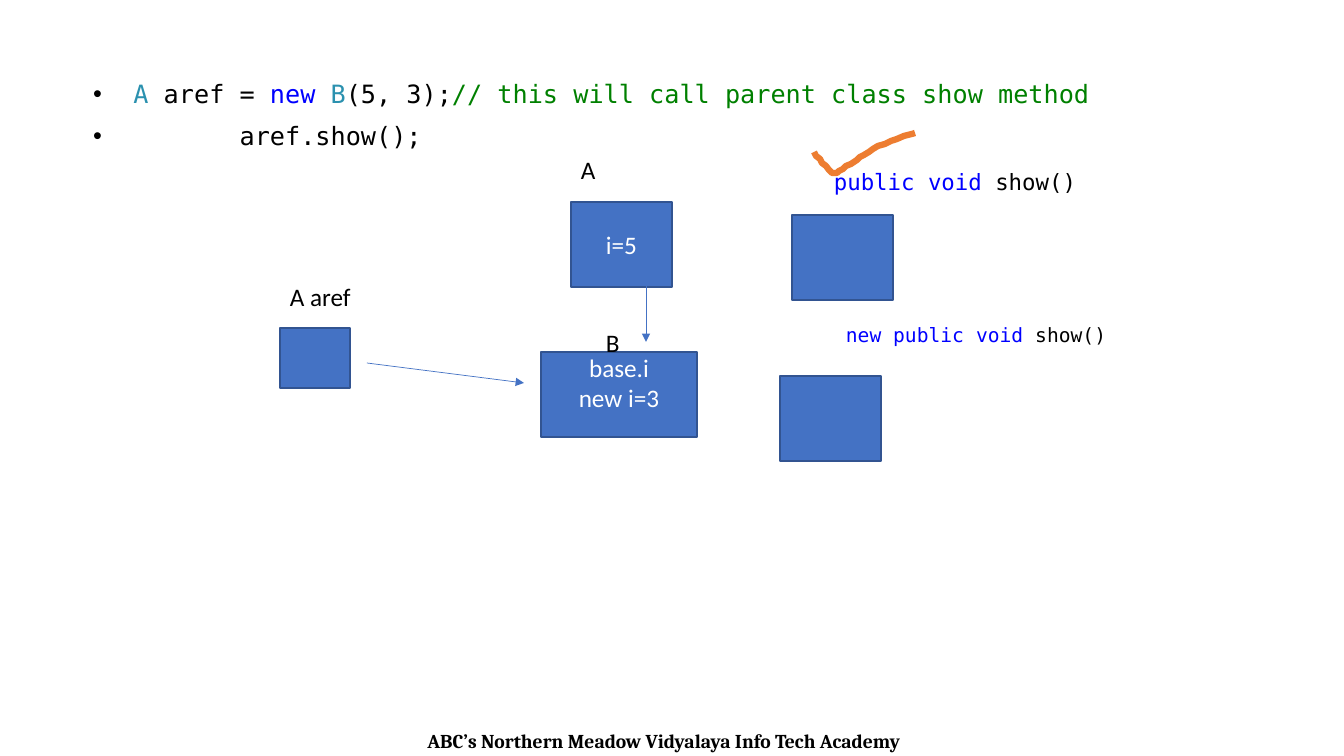
"""Build a slide on method hiding with object references."""
from dataclasses import dataclass

from lxml import etree
from pptx import Presentation
from pptx.dml.color import RGBColor as RGB
from pptx.enum.shapes import MSO_CONNECTOR as Conn, MSO_SHAPE as Shape
from pptx.enum.text import MSO_ANCHOR as Anchor, MSO_AUTO_SIZE as AutoSize, PP_ALIGN as Align
from pptx.oxml.ns import qn
from pptx.slide import Slide
from pptx.text.text import TextFrame
from pptx.util import Emu, Pt

PX = 914400 / 100.8


@dataclass(frozen=True)
class Theme:
    black: str = "000000"
    white: str = "FFFFFF"
    box: str = "4472C4"
    edge: str = "325491"
    tick: str = "ED7D31"
    keyword: str = "0000FF"
    type_name: str = "2B91AF"
    comment: str = "008000"
    body: str = "Calibri"
    code: str = "DejaVu Sans Mono"
    footer: str = "Cambria"
    text_size: int = 18
    method_size: int = 16
    small_size: int = 14


T = Theme()


@dataclass(frozen=True)
class Run:
    text: str
    color: str = T.black


@dataclass(frozen=True)
class Box:
    x: int
    y: int
    w: int
    h: int
    lines: tuple[str, ...] = ()
    anchor: Anchor = Anchor.MIDDLE


@dataclass(frozen=True)
class Label:
    x: int
    y: int
    w: int
    h: int
    runs: tuple[Run, ...]
    font: str = T.body
    size: int = T.text_size
    bold: bool = False
    align: Align = Align.LEFT


@dataclass(frozen=True)
class Arrow:
    x1: int
    y1: int
    x2: int
    y2: int


BOXES = (
    Box(571, 202, 101, 85, ("i=5",)),
    Box(280, 328, 70, 60),
    Box(792, 215, 101, 85),
    Box(780, 376, 101, 85),
    Box(541, 352, 156, 85, ("base.i", "new i=3"), Anchor.TOP),
)
SHOW = (Run(" "), Run("void", T.keyword), Run(" show()"))
LABELS = (
    Label(-8, 724, 1344, 34, (Run("ABC’s Northern Meadow Vidyalaya Info Tech Academy"),),
          T.footer, T.small_size, True, Align.CENTER),
    Label(571, 149, 87, 40, (Run("A"),)),
    Label(596, 322, 87, 40, (Run("B"),)),
    Label(280, 276, 87, 40, (Run("A aref"),)),
    Label(824, 163, 291, 37, (Run("public", T.keyword), *SHOW), T.code, T.method_size),
    Label(836, 318, 330, 34, (Run("new public", T.keyword), *SHOW), T.code, T.small_size),
)
CODE = (
    (Run(" "), Run("A", T.type_name), Run(" aref = "), Run("new", T.keyword), Run(" "),
     Run("B", T.type_name), Run("(5, 3);"),
     Run("// this will call parent class show method", T.comment)),
    (Run("        aref.show();"),),
)
ARROWS = (Arrow(646, 286, 646, 342), Arrow(367, 363, 524, 383))
TICK = (
    (814, 152), (816, 156), (820, 159), (822, 163), (826, 166), (829, 170), (832, 173),
    (837, 173), (839, 171), (843, 169), (846, 166), (851, 164), (854, 162), (857, 160),
    (860, 157), (864, 155), (869, 152), (873, 149), (878, 146), (885, 144), (891, 141),
    (897, 139), (904, 136), (912, 134), (915, 133),
)


def px(*values: int) -> list[Emu]:
    return [Emu(round(v * PX)) for v in values]


def write(tf: TextFrame, lines: tuple[tuple[Run, ...], ...], *, font: str = T.body,
          size: int = T.text_size, bold: bool = False, align: Align = Align.LEFT,
          anchor: Anchor = Anchor.TOP, bullets: bool = False) -> None:
    tf.word_wrap = True
    tf.auto_size = AutoSize.NONE
    tf.vertical_anchor = anchor
    for i, runs in enumerate(lines):
        p = tf.add_paragraph() if i else tf.paragraphs[0]
        p.alignment = align
        if bullets:
            p.line_spacing = 0.9
            p.space_before = Pt(10 if i else 0)
            pPr = p._p.get_or_add_pPr()
            pPr.set("marL", "228600")
            pPr.set("indent", "-228600")
            etree.SubElement(pPr, qn("a:buFont")).set("typeface", "Arial")
            etree.SubElement(pPr, qn("a:buChar")).set("char", "•")
        for run in runs:
            r = p.add_run()
            r.text = run.text
            r.font.name, r.font.size, r.font.bold = font, Pt(size), bold
            r.font.color.rgb = RGB.from_string(run.color)


def add_box(s: Slide, box: Box) -> None:
    sp = s.shapes.add_shape(Shape.RECTANGLE, *px(box.x, box.y, box.w, box.h))
    sp.shadow.inherit = False
    sp.fill.solid()
    sp.fill.fore_color.rgb = RGB.from_string(T.box)
    sp.line.color.rgb = RGB.from_string(T.edge)
    sp.line.width = Pt(1)
    if box.lines:
        if box.anchor == Anchor.TOP:
            sp.text_frame.margin_top = 0
        write(sp.text_frame, tuple((Run(line, T.white),) for line in box.lines),
              align=Align.CENTER, anchor=box.anchor)


def add_label(s: Slide, label: Label) -> None:
    sp = s.shapes.add_textbox(*px(label.x, label.y, label.w, label.h))
    write(sp.text_frame, (label.runs,), font=label.font, size=label.size,
          bold=label.bold, align=label.align)


def add_code(s: Slide) -> None:
    title = s.shapes.title.element
    title.getparent().remove(title)
    sp = s.placeholders[1]
    sp.left, sp.top, sp.width, sp.height = px(83, 77, 1169, 80)
    write(sp.text_frame, CODE, font=T.code, bullets=True)


def add_arrow(s: Slide, arrow: Arrow) -> None:
    cx = s.shapes.add_connector(Conn.STRAIGHT, *px(arrow.x1, arrow.y1, arrow.x2, arrow.y2))
    cx.line.color.rgb = RGB.from_string(T.box)
    cx.line.width = Pt(0.5)
    etree.SubElement(cx.line._get_or_add_ln(), qn("a:tailEnd")).set("type", "triangle")
    etree.SubElement(cx._element.spPr, qn("a:effectLst"))


def add_tick(s: Slide) -> None:
    builder = s.shapes.build_freeform(*TICK[0], scale=PX)
    builder.add_line_segments(TICK[1:], close=False)
    sp = builder.convert_to_shape()
    sp.shadow.inherit = False
    sp.fill.background()
    sp.line.color.rgb = RGB.from_string(T.tick)
    sp.line.width = Pt(4.5)


def main() -> None:
    prs = Presentation()
    prs.slide_width, prs.slide_height = px(1344, 756)
    s = prs.slides.add_slide(prs.slide_layouts[1])
    add_code(s)
    for box in BOXES:
        add_box(s, box)
    for label in LABELS:
        add_label(s, label)
    for arrow in ARROWS:
        add_arrow(s, arrow)
    add_tick(s)
    prs.save("out.pptx")


if __name__ == "__main__":
    main()
